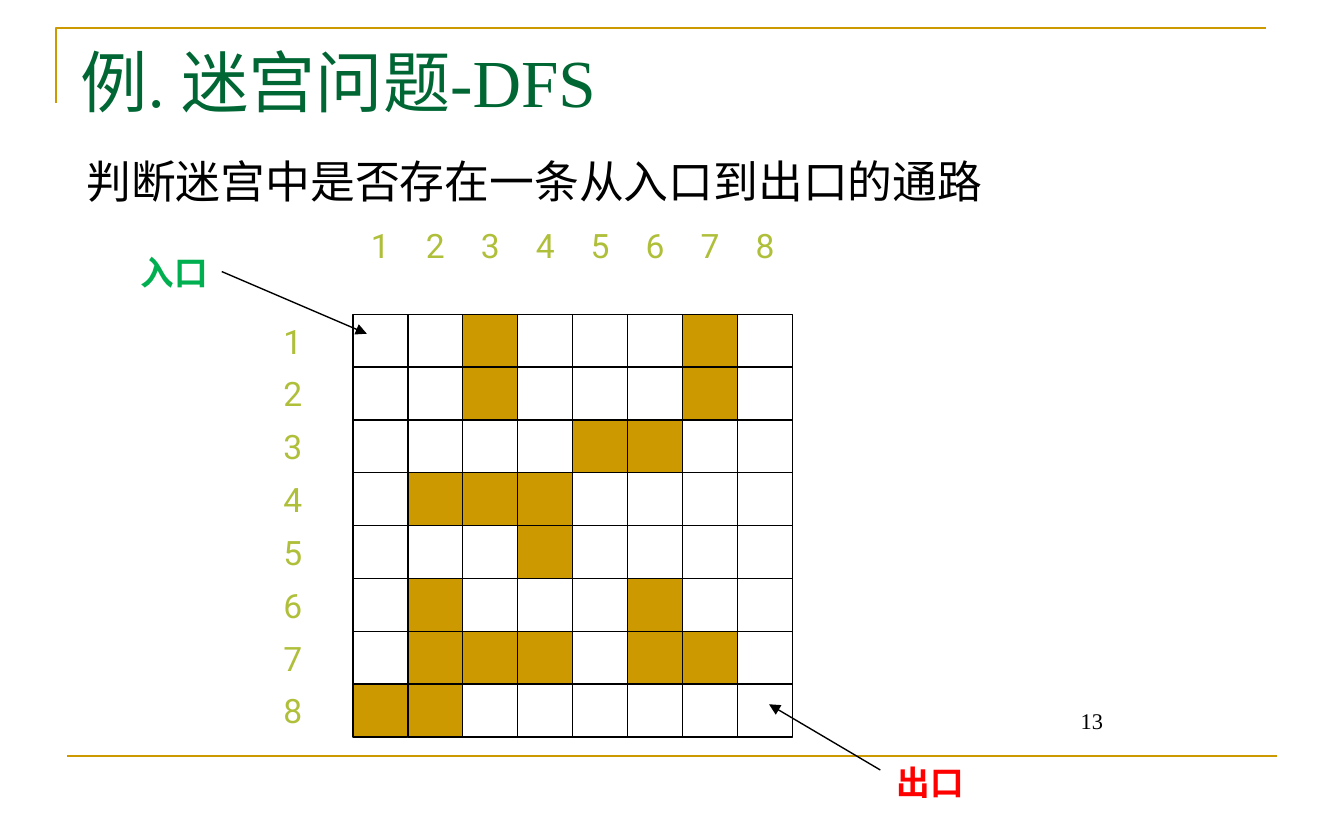
"""Build the maze depth-first search slide."""
from dataclasses import dataclass

from lxml.etree import SubElement
from pptx import Presentation
from pptx.dml.color import RGBColor
from pptx.enum.shapes import MSO_CONNECTOR, MSO_SHAPE
from pptx.enum.text import MSO_ANCHOR as Anchor, MSO_AUTO_SIZE, PP_ALIGN as Align
from pptx.oxml.ns import qn
from pptx.util import Pt

TITLE = "例. 迷宫问题-DFS"
TASK = "判断迷宫中是否存在一条从入口到出口的通路"
PAGE_NUMBER = "13"
WALL = "#"
MAZE = [
    "..#...#.",
    "..#...#.",
    "....##..",
    ".###....",
    "...#....",
    ".#...#..",
    ".###.##.",
    "##......",
]


@dataclass(frozen=True)
class Theme:
    gold: str = "CC9900"
    green: str = "006633"
    black: str = "000000"
    index: str = "AFBF39"
    entrance: str = "00B050"
    exit: str = "FF0000"
    serif: str = "Times New Roman"
    sans: str = "Arial"
    label: str = "Roboto"
    title_size: float = 36
    task_size: float = 24
    label_size: float = 18
    number_size: float = 12
    rule: float = 1.5
    thin: float = 0.75


theme = Theme()
GATES = [
    ("入口", theme.entrance, (59.5, 134.5, 67.5, 23), (118.8, 145.5, 196.5, 178.8)),
    ("出口", theme.exit, (456.5, 406.3, 83.5, 25), (471.6, 412.5, 412, 377.3)),
]
MAZE_LEFT, MAZE_TOP = 189.1, 168.4
CELL_W, CELL_H = 29.43, 28.3
COLUMN_INDEX_TOP, ROW_INDEX_LEFT = 117.4, 142.2


def points(values):
    return [Pt(value) for value in values]


def remove_bullet(paragraph):
    properties = paragraph._p.get_or_add_pPr()
    properties.set("marL", "0")
    properties.set("indent", "0")
    SubElement(properties, qn("a:buNone"))


def write(shape, text, font, size, color, align=Align.LEFT, anchor=Anchor.TOP,
          bold=False, wrap=True, bulleted=False):
    frame = shape.text_frame
    frame.text = text
    frame.auto_size = MSO_AUTO_SIZE.NONE
    frame.word_wrap = wrap
    frame.vertical_anchor = anchor
    paragraph = frame.paragraphs[0]
    paragraph.alignment = align
    paragraph.space_before = Pt(0)
    if bulleted:
        remove_bullet(paragraph)
    paragraph.font.name = font
    paragraph.font.size = Pt(size)
    paragraph.font.bold = bold
    paragraph.font.color.rgb = RGBColor.from_string(color)


def place(shape, box):
    shape.left, shape.top, shape.width, shape.height = points(box)


def add_label(shapes, text, box, color, bold=False):
    write(shapes.add_textbox(*points(box)), text, theme.label, theme.label_size, color,
          Align.CENTER, Anchor.MIDDLE, bold, wrap=False)


def set_line(shape, color, width):
    shape.line.color.rgb = RGBColor.from_string(color)
    shape.line.width = Pt(width)


def add_line(shapes, ends, color, width, arrow=False):
    line = shapes.add_connector(MSO_CONNECTOR.STRAIGHT, *points(ends))
    set_line(line, color, width)
    if arrow:
        SubElement(line.line._get_or_add_ln(), qn("a:tailEnd"), type="triangle")
    SubElement(line._element.spPr, qn("a:effectLst"))


def add_frame(shapes):
    builder = shapes.build_freeform(Pt(30), Pt(55))
    builder.add_line_segments([points((30, 15)), points((678, 15))], close=False)
    corner = builder.convert_to_shape()
    corner.fill.background()
    corner.shadow.inherit = False
    set_line(corner, theme.gold, theme.rule)
    add_line(shapes, (36, 405, 684, 405), theme.gold, theme.rule)


def add_text(slide):
    title, task = slide.placeholders
    place(title, (36, 19, 648, 48))
    write(title, TITLE, theme.serif, theme.title_size, theme.green, anchor=Anchor.MIDDLE)
    place(task, (39, 78.7, 600, 39))
    write(task, TASK, theme.sans, theme.task_size, theme.black, bulleted=True)
    number = slide.shapes.add_textbox(*points((430, 367, 168, 30)))
    write(number, PAGE_NUMBER, theme.serif, theme.number_size, theme.black, Align.RIGHT, Anchor.BOTTOM)


def add_maze(shapes):
    lefts = [MAZE_LEFT + column * CELL_W for column in range(len(MAZE[0]))]
    tops = [MAZE_TOP + row * CELL_H for row in range(len(MAZE))]
    for top, row in zip(tops, MAZE):
        for left, mark in zip(lefts, row):
            cell = shapes.add_shape(MSO_SHAPE.RECTANGLE, *points((left, top, CELL_W, CELL_H)))
            cell.shadow.inherit = False
            set_line(cell, theme.black, theme.thin)
            if mark == WALL:
                cell.fill.solid()
                cell.fill.fore_color.rgb = RGBColor.from_string(theme.gold)
            else:
                cell.fill.background()
    column_corners = [(left, COLUMN_INDEX_TOP) for left in lefts]
    row_corners = [(ROW_INDEX_LEFT, top) for top in tops]
    for corners in (column_corners, row_corners):
        for index, corner in enumerate(corners, 1):
            add_label(shapes, str(index), (*corner, CELL_W, CELL_H), theme.index)


def main():
    deck = Presentation()
    deck.slide_width, deck.slide_height = Pt(720), Pt(450)
    slide = deck.slides.add_slide(deck.slide_layouts[1])
    add_frame(slide.shapes)
    add_text(slide)
    add_maze(slide.shapes)
    for name, color, box, arrow in GATES:
        add_label(slide.shapes, name, box, color, bold=True)
        add_line(slide.shapes, arrow, theme.black, theme.thin, arrow=True)
    deck.save("out.pptx")


if __name__ == "__main__":
    main()
